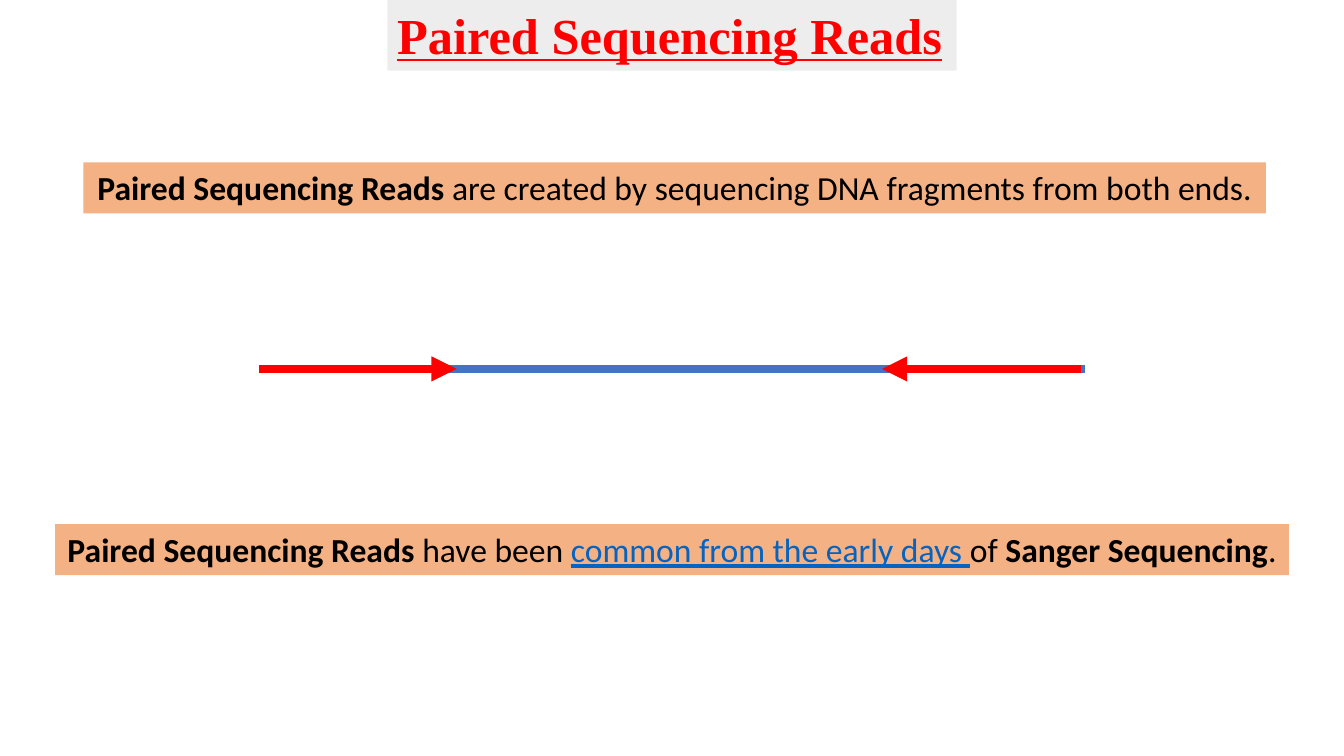
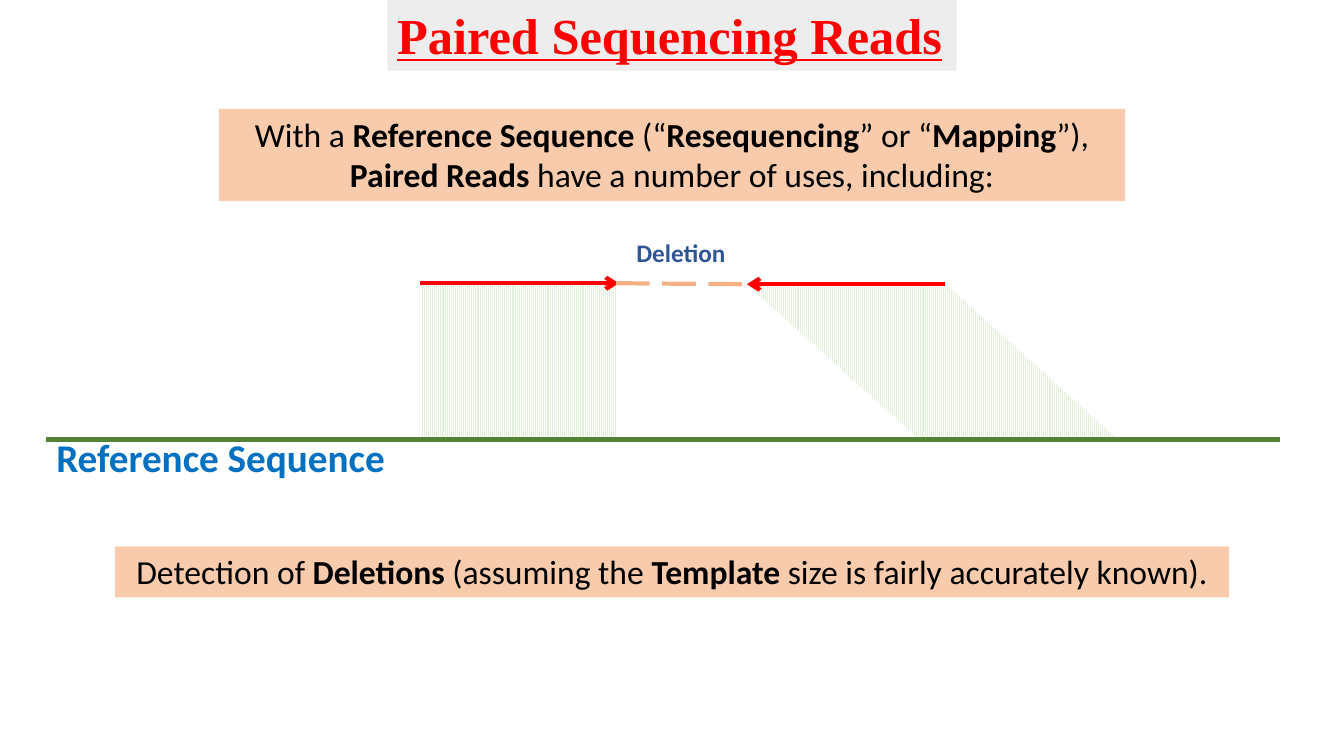
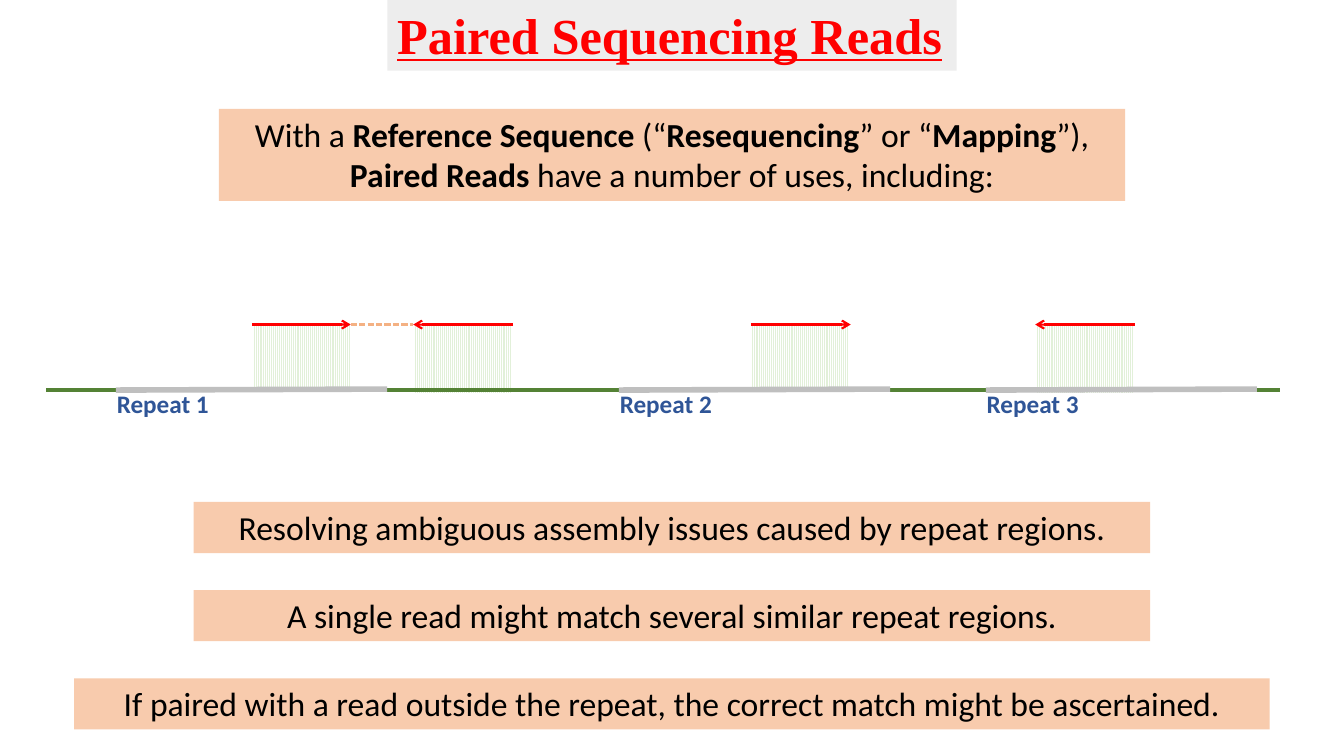
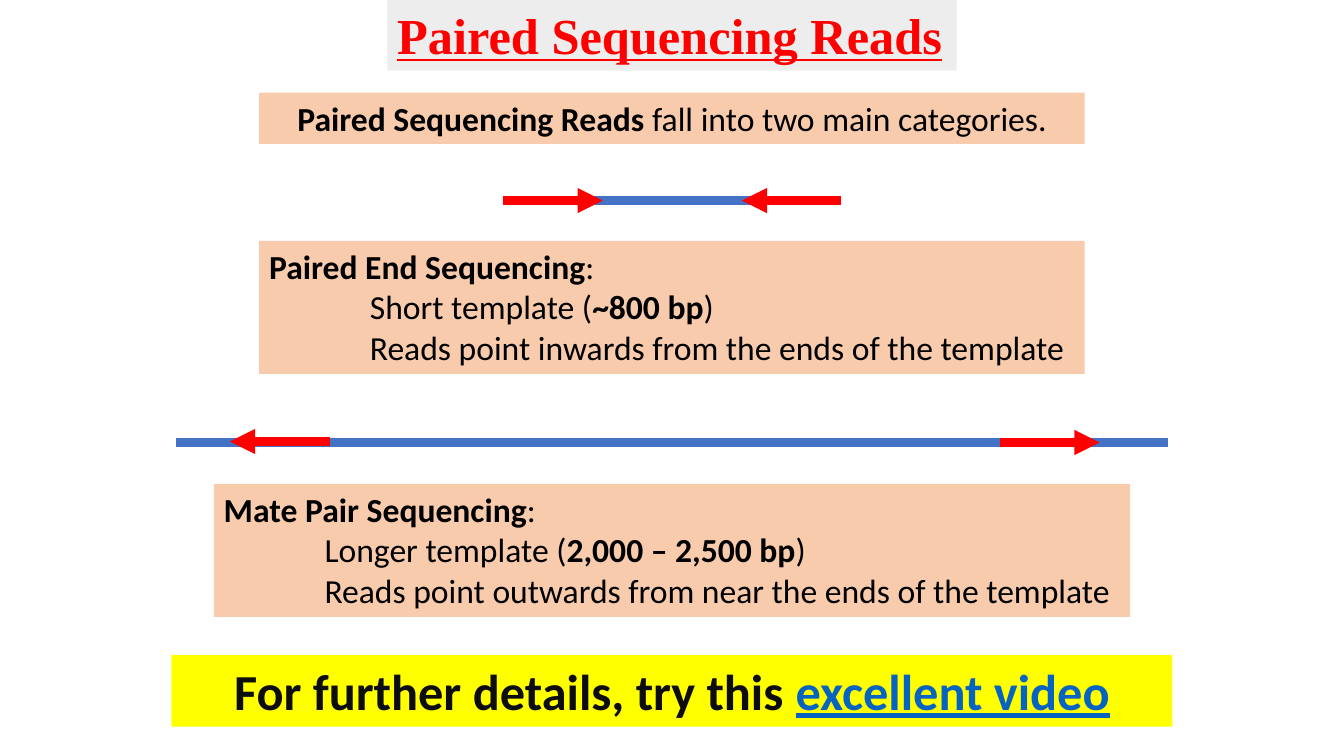
"""Build four slides that explain paired sequencing reads."""
import dataclasses

import pptx
import pptx.dml.color
import pptx.enum.dml
import pptx.enum.shapes
import pptx.enum.text
import pptx.oxml
import pptx.oxml.ns
import pptx.util

COLUMNS, ROWS = 40, 30
SHAPES = pptx.enum.shapes.MSO_SHAPE
DASHES = pptx.enum.dml.MSO_LINE
LEFT, CENTER = pptx.enum.text.PP_ALIGN.LEFT, pptx.enum.text.PP_ALIGN.CENTER


@dataclasses.dataclass(frozen=True)
class Theme:
    """Colours, text styles and line styles shared by all slides."""
    link: str = "0563C1"
    stripe: str = "E2F0D9"
    paper: str = "FFFFFF"
    indent: float = 1
    inset: float = 0.1
    line_height: float = 1.22
    text: dict = dataclasses.field(default_factory=lambda: {
        "title": dict(fill="EDEDED", color="FF0000", name="Times New Roman",
                      size=36, bold=True, underline=True, align=LEFT),
        "strong": dict(fill="F4B183", color="000000", size=24),
        "soft": dict(fill="F8CBAD", color="000000", size=24),
        "list": dict(fill="F8CBAD", color="000000", size=24, align=LEFT),
        "call": dict(fill="FFFF00", color="0D0D0D", size=36, bold=True),
        "reference": dict(color="0070C0", size=28, bold=True, align=LEFT),
        "region": dict(color="2F5597", size=18, bold=True, align=LEFT),
        "event": dict(color="2F5597", size=18, bold=True),
    })
    line: dict = dataclasses.field(default_factory=lambda: {
        "template": dict(color="4472C4", width=6),
        "end read": dict(color="FF0000", width=6, arrow="triangle"),
        "reference": dict(color="548235", width=3),
        "mapped read": dict(color="FF0000", width=3, arrow="arrow"),
        "small read": dict(color="FF0000", width=1.5, arrow="arrow"),
        "gap": dict(color="F4B183", width=3, dash=DASHES.LONG_DASH),
        "small gap": dict(color="F4B183", width=1.5, dash=DASHES.SQUARE_DOT),
        "repeat": dict(color="BFBFBF", width=4),
    })


THEME = Theme()
TITLE = ("title", 16.95, -0.04, ["Paired Sequencing Reads"])
USES = ("soft", 26.97, 4.32, [
    "With a *Reference Sequence *(“*Resequencing*” or “*Mapping*”),",
    "*Paired Reads* have a number of uses, including:"])
REPEATS = {"Repeat 1": 3.45, "Repeat 2": 18.42, "Repeat 3": 29.34}
REPEAT_LENGTH, LABEL_SHIFT, LABEL_WIDTH = 8.07, 0.27, 3.36
MATCH_WIDTH, MATCH_HEIGHT = 2.94, 2.68

# Markup: *bold*, _link_, and > for an indented line.
SLIDES = [
    dict(
        boxes=[
            ("strong", 35.19, 6.44, [
                "*Paired Sequencing Reads *are created by sequencing "
                "DNA fragments from both ends."], 20.08),
            ("strong", 36.72, 20.8, [
                "*Paired Sequencing Reads *have been _common from the early "
                "days _of *Sanger Sequencing*."]),
        ],
        lines=[("template", 7.74, 14.64, 32.28, 14.64),
               ("end read", 7.71, 14.64, 13.59, 14.64),
               ("end read", 32.16, 14.64, 26.25, 14.64)],
    ),
    dict(
        matches=[(SHAPES.PARALLELOGRAM, 22.23, 11.28, 11.04, 6.16),
                 (SHAPES.RECTANGLE, 12.51, 11.24, 5.82, 6.24)],
        boxes=[USES, ("soft", 33.15, 21.68, [
            "Detection of *Deletions *(assuming the *Template* size is "
            "fairly accurately known)."])],
        lines=[("reference", 1.38, 17.44, 38.1, 17.44),
               ("mapped read", 12.51, 11.24, 18.42, 11.24),
               ("mapped read", 28.14, 11.28, 22.23, 11.28),
               ("gap", 18.33, 11.24, 22.23, 11.28)],
        labels=[("reference", 1.38, 17, 36.72, "Reference Sequence"),
                ("event", 17.7, 9.24, 5.13, "Deletion")],
    ),
    dict(
        matches=[(SHAPES.RECTANGLE, left, top, MATCH_WIDTH, MATCH_HEIGHT)
                 for left, top in ((7.5, 12.8), (12.3, 12.92),
                                   (22.32, 12.8), (30.81, 12.92))],
        boxes=[USES,
               ("soft", 28.47, 19.92, [
                   "Resolving ambiguous assembly issues caused by repeat "
                   "regions."]),
               ("soft", 28.47, 23.42, [
                   "A single read might match several similar repeat "
                   "regions."]),
               ("soft", 35.58, 26.92, [
                   "If paired with a read outside the repeat, the correct "
                   "match might be ascertained."])],
        lines=[("reference", 1.38, 15.48, 38.1, 15.48),
               ("small gap", 10.44, 12.88, 12.3, 12.88)]
        + [("small read", start, 12.88, end, 12.88)
           for start, end in ((7.5, 10.44), (15.27, 12.3),
                              (22.35, 25.32), (33.78, 30.81))]
        + [("repeat", left, 15.48, left + REPEAT_LENGTH, 15.44)
           for left in REPEATS.values()],
        labels=[("region", left - LABEL_SHIFT, 15.2, LABEL_WIDTH, name)
                for name, left in REPEATS.items()],
    ),
    dict(
        boxes=[
            ("soft", 24.57, 3.68, [
                "*Paired Sequencing Reads *fall into two main categories."]),
            ("list", 24.57, 9.56, [
                "*Paired End Sequencing*:",
                ">Short template (*~800 bp*)",
                ">Reads point inwards from the ends of the template"]),
            ("list", 27.27, 19.2, [
                "*Mate Pair Sequencing*:",
                ">Longer template (*2,000 – 2,500 bp*)",
                ">Reads point outwards from near the ends of the template"]),
            ("call", 29.79, 26, [
                "For further details, try this _excellent video_"]),
        ],
        lines=[("template", 14.97, 7.96, 25.02, 7.96),
               ("end read", 14.97, 7.96, 17.94, 7.96),
               ("end read", 25.02, 7.96, 22.08, 7.96),
               ("template", 5.25, 17.56, 34.77, 17.56),
               ("end read", 29.76, 17.56, 32.73, 17.56),
               ("end read", 9.81, 17.52, 6.84, 17.52)],
    ),
]

deck = pptx.Presentation()
deck.slide_width = pptx.util.Inches(13.333)
deck.slide_height = pptx.util.Inches(7.5)


def across(columns):
    """Turn grid columns into a length."""
    return round(deck.slide_width * columns / COLUMNS)


def down(rows):
    """Turn grid rows into a length."""
    return round(deck.slide_height * rows / ROWS)


def rgb(value):
    """Turn a hex string into a colour."""
    return pptx.dml.color.RGBColor.from_string(value)


def assign(target, values):
    """Set every named attribute of the target."""
    for name, value in values.items():
        setattr(target, name, value)


def text_height(style, count):
    """Give the height of a box that holds the given number of lines."""
    inches = 2 * THEME.inset / 2 + count * style["size"] * THEME.line_height / 72
    return pptx.util.Inches(inches)


def write(box, style, texts, wrap=True):
    """Fill a box with marked-up lines."""
    frame = box.text_frame
    assign(frame, dict(word_wrap=wrap,
                       auto_size=pptx.enum.text.MSO_AUTO_SIZE.SHAPE_TO_FIT_TEXT,
                       vertical_anchor=pptx.enum.text.MSO_ANCHOR.TOP))
    for index, text in enumerate(texts):
        para = frame.add_paragraph() if index else frame.paragraphs[0]
        para.alignment = style.get("align", CENTER)
        if text.startswith(">"):
            indent = pptx.util.Inches(THEME.indent)
            para._p.get_or_add_pPr().set("marL", str(indent))
        for part, chunk in enumerate(text.lstrip(">").split("*")):
            for piece, words in enumerate(chunk.split("_")):
                if not words:
                    continue
                linked = piece % 2 == 1
                span = para.add_run()
                span.text = words
                assign(span.font, dict(
                    name=style.get("name", "Calibri"),
                    size=pptx.util.Pt(style["size"]),
                    bold=style.get("bold", part % 2 == 1),
                    underline=style.get("underline", linked)))
                span.font.color.rgb = rgb(THEME.link if linked else style["color"])


def add_plain(page, kind, *area):
    """Add a preset shape without outline or shadow."""
    shape = page.shapes.add_shape(kind, *area)
    shape.shadow.inherit = False
    shape.line.fill.background()
    return shape


def add_box(page, kind, width, top, texts, middle=COLUMNS / 2):
    """Add a filled text box centred on a column."""
    style = THEME.text[kind]
    box = add_plain(page, SHAPES.RECTANGLE, across(middle - width / 2), down(top),
                    across(width), text_height(style, len(texts)))
    box.fill.solid()
    box.fill.fore_color.rgb = rgb(style["fill"])
    write(box, style, texts)


def add_label(page, kind, left, top, width, text):
    """Add an unfilled label."""
    style = THEME.text[kind]
    box = page.shapes.add_textbox(across(left), down(top), across(width),
                                  text_height(style, 1))
    write(box, style, [text], wrap=width > LABEL_WIDTH)


def add_match(page, kind, left, top, width, height):
    """Add a striped area that links a read to the reference."""
    match = add_plain(page, kind, across(left), down(top), across(width), down(height))
    match.fill.patterned()
    match.fill.pattern = pptx.enum.dml.MSO_PATTERN.LIGHT_VERTICAL
    match.fill.fore_color.rgb = rgb(THEME.stripe)
    match.fill.back_color.rgb = rgb(THEME.paper)
    if kind == SHAPES.PARALLELOGRAM:
        match.adjustments[0] = 1.11
        match.rotation = 180
        match._element.spPr.xfrm.set("flipV", "1")


def add_line(page, kind, left, top, right, bottom):
    """Add a straight line, with an arrowhead if its style has one."""
    style = THEME.line[kind]
    connector = page.shapes.add_connector(
        pptx.enum.shapes.MSO_CONNECTOR.STRAIGHT,
        across(left), down(top), across(right), down(bottom))
    connector.line.color.rgb = rgb(style["color"])
    connector.line.width = pptx.util.Pt(style["width"])
    if "dash" in style:
        connector.line.dash_style = style["dash"]
    if "arrow" in style:
        arrow = pptx.oxml.parse_xml(
            f'<a:tailEnd {pptx.oxml.ns.nsdecls("a")} type="{style["arrow"]}"/>')
        connector.line._get_or_add_ln().append(arrow)
    connector._element.spPr.append(
        pptx.oxml.parse_xml(f'<a:effectLst {pptx.oxml.ns.nsdecls("a")}/>'))


PAINTERS = dict(matches=add_match, lines=add_line, boxes=add_box, labels=add_label)

for content in SLIDES:
    page = deck.slides.add_slide(deck.slide_layouts[6])
    add_box(page, *TITLE)
    for group, paint in PAINTERS.items():
        for item in content.get(group, []):
            paint(page, *item)

deck.save("out.pptx")
